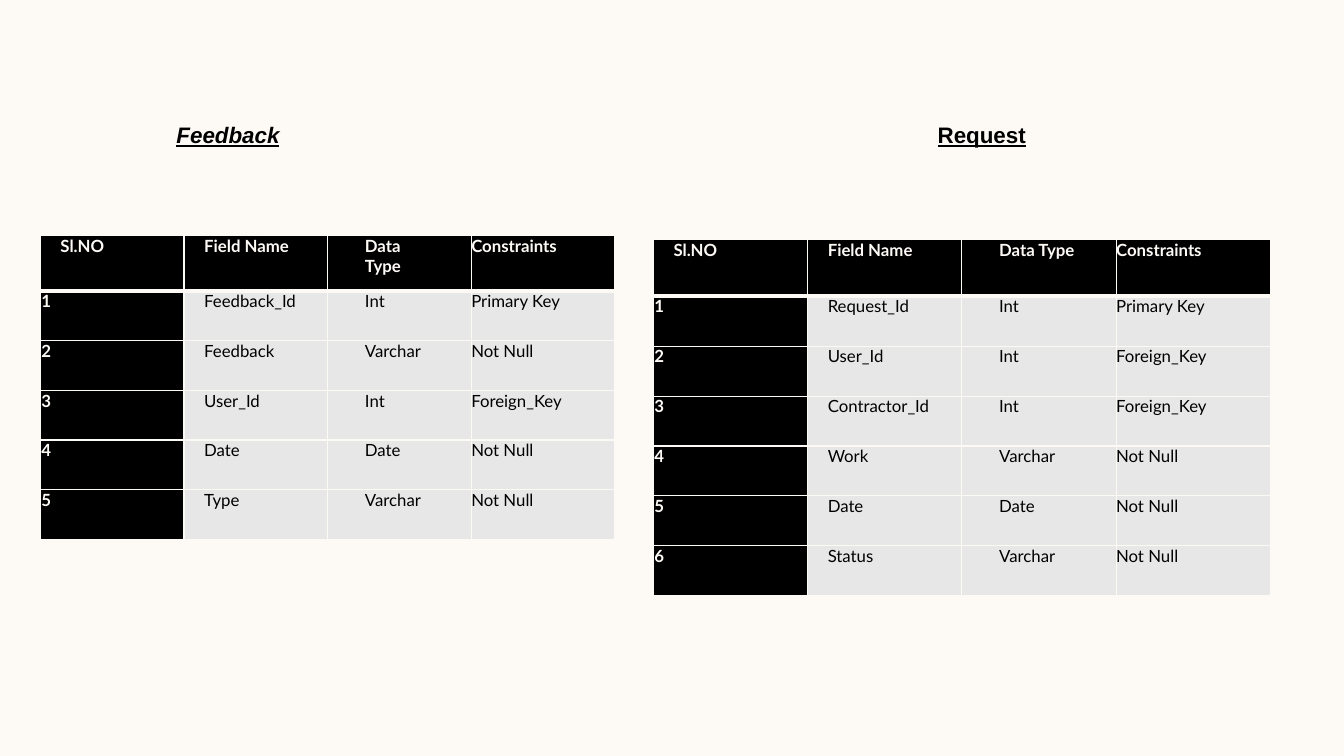
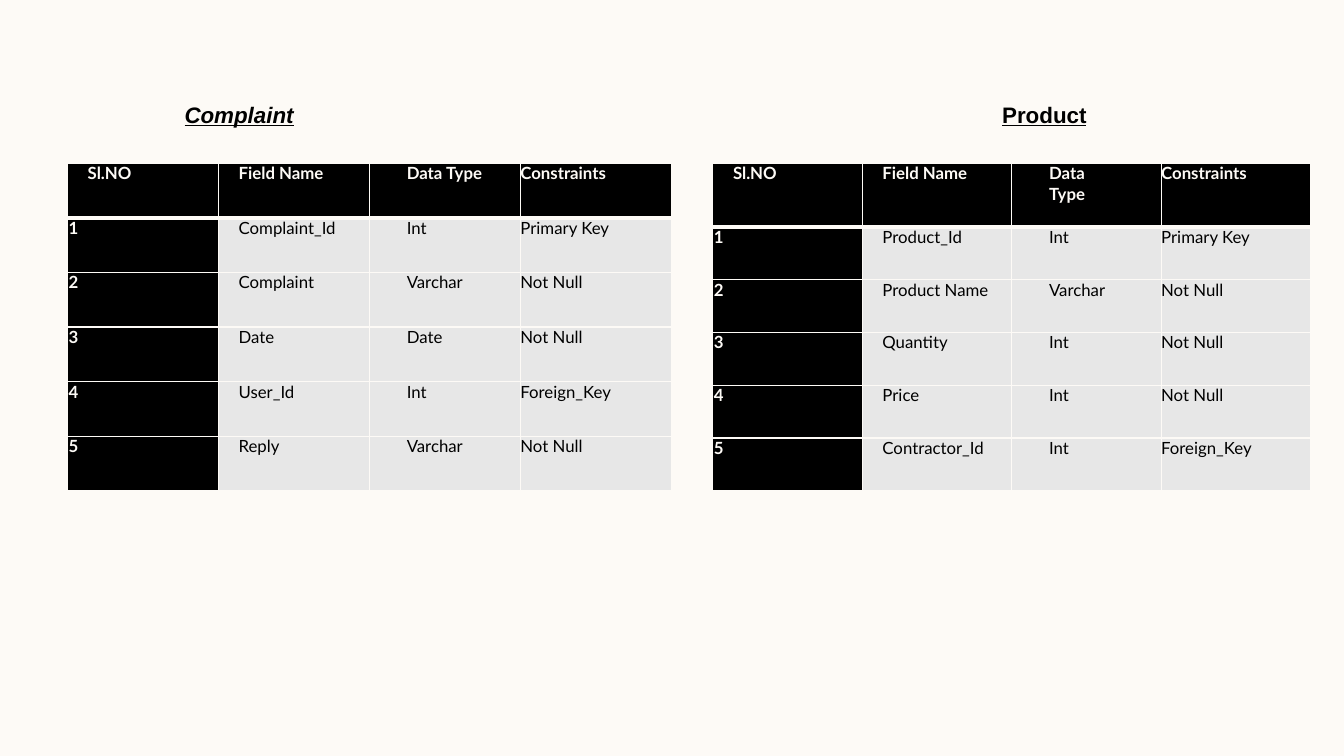
"""Build two slides of database table layouts."""
import pptx
import pptx.util
import pptx.dml.color
import pptx.enum.text
import pptx.oxml
import pptx.oxml.ns
import lxml.etree

Inches = pptx.util.Inches
Pt = pptx.util.Pt
HUES = {"paper": "FDFAF6", "ink": "000000", "cell": "E7E7E7"}
HEAD = ["Sl.NO", "Field Name", "Data Type", "Constraints"]
INDENT = [0.01, 0.2, 0.37, 0]
KEY, LINK, FULL = "Primary Key", "Foreign_Key", "Not Null"

SLIDES = [
    {
        "title": ["Feedback", "Request"], "at": [1.25, 1.16, 9.05], "tab": 7.55,
        "tables": [
            {"at": [0.4, 2.34, 5.7, 3.01], "head": 0.55, "rows": [
                ["Feedback_Id", "Int", KEY],
                ["Feedback", "Varchar", FULL],
                ["User_Id", "Int", LINK],
                ["Date", "Date", FULL],
                ["Type", "Varchar", FULL]]},
            {"at": [6.48, 2.38, 6.12, 3.53], "head": 0.56, "rows": [
                ["Request_Id", "Int", KEY],
                ["User_Id", "Int", LINK],
                ["Contractor_Id", "Int", LINK],
                ["Work", "Varchar", FULL],
                ["Date", "Date", FULL],
                ["Status", "Varchar", FULL]]},
        ],
    },
    {
        "title": ["Complaint", "Product"], "at": [1.33, 0.96, 9.64], "tab": 8.11,
        "tables": [
            {"at": [0.67, 1.62, 5.99, 3.25], "head": 0.54, "rows": [
                ["Complaint_Id", "Int", KEY],
                ["Complaint", "Varchar", FULL],
                ["Date", "Date", FULL],
                ["User_Id", "Int", LINK],
                ["Reply", "Varchar", FULL]]},
            {"at": [7.07, 1.62, 5.93, 3.25], "head": 0.63, "rows": [
                ["Product_Id", "Int", KEY],
                ["Product Name", "Varchar", FULL],
                ["Quantity", "Int", FULL],
                ["Price", "Int", FULL],
                ["Contractor_Id", "Int", LINK]]},
        ],
    },
]


def paint(font, face, size, hue, bold):
    font.name = face
    font.size = Pt(size)
    font.bold = bold
    font.color.rgb = pptx.dml.color.RGBColor.from_string(HUES[hue])


def style(cell, row, col):
    dark = row == 0 or col == 0
    cell.margin_left = cell.margin_right = 0
    cell.margin_top = cell.margin_bottom = 0
    props = cell._tc.get_or_add_tcPr()
    wide = {"lnT": row == 1, "lnB": row == 0}
    for side in ["lnL", "lnR", "lnT", "lnB"]:
        line = lxml.etree.SubElement(props, pptx.oxml.ns.qn("a:" + side))
        line.set("w", str(Pt(3 if wide.get(side) else 1)))
        fill = lxml.etree.SubElement(line, pptx.oxml.ns.qn("a:solidFill"))
        hue = lxml.etree.SubElement(fill, pptx.oxml.ns.qn("a:srgbClr"))
        hue.set("val", HUES["paper"])
    cell.fill.solid()
    back = HUES["ink" if dark else "cell"]
    cell.fill.fore_color.rgb = pptx.dml.color.RGBColor.from_string(back)
    para = cell.text_frame.paragraphs[0]
    indent = para._p.get_or_add_pPr()
    left = 0.2 if row == 0 and col == 0 else INDENT[col]
    indent.set("marL", str(Inches(left)))
    if HEAD[col] == "Data Type":
        indent.set("marR", str(Inches(left)))
    paint(para.runs[0].font, "Lato", 12, "paper" if dark else "ink", dark)


deck = pptx.Presentation()
deck.slide_width = Inches(13.33)
deck.slide_height = Inches(7.5)
ground = deck.slide_master.background.fill
ground.solid()
ground.fore_color.rgb = pptx.dml.color.RGBColor.from_string(HUES["paper"])

for page in SLIDES:
    slide = deck.slides.add_slide(deck.slide_layouts[5])
    title = slide.shapes.title
    title.left, title.top, title.width = [Inches(v) for v in page["at"]]
    title.height = Inches(0.61)
    frame = title.text_frame
    frame.auto_size = pptx.enum.text.MSO_AUTO_SIZE.NONE
    frame.vertical_anchor = pptx.enum.text.MSO_ANCHOR.TOP
    frame.margin_left, frame.margin_top = Inches(0.5), Inches(0.04)
    frame.margin_right = frame.margin_bottom = 0
    para = frame.paragraphs[0]
    para.alignment = pptx.enum.text.PP_ALIGN.LEFT
    tabs = lxml.etree.SubElement(para._p.get_or_add_pPr(), pptx.oxml.ns.qn("a:tabLst"))
    stop = lxml.etree.SubElement(tabs, pptx.oxml.ns.qn("a:tab"))
    stop.set("pos", str(Inches(page["tab"])))
    stop.set("algn", "l")
    first, second = page["title"]
    for text in [first, "\t", second]:
        run = para.add_run()
        run.text = text
        paint(run.font, "Arial", 16, "ink", True)
        run.font.italic = text == first
        run.font.underline = text != "\t"

    for item in page["tables"]:
        rows = [HEAD] + [[str(n)] + row for n, row in enumerate(item["rows"], 1)]
        left, top, width, height = item["at"]
        table = slide.shapes.add_table(
            len(rows), len(HEAD), Inches(left), Inches(top),
            Inches(width), Inches(height)).table
        table.horz_banding = False
        for column in table.columns:
            column.width = Inches(width / len(HEAD))
        step = (height - item["head"]) / len(item["rows"])
        for r, row in enumerate(rows):
            table.rows[r].height = Inches(step if r else item["head"])
            for c, text in enumerate(row):
                table.cell(r, c).text_frame.text = text
                style(table.cell(r, c), r, c)

deck.save("out.pptx")
